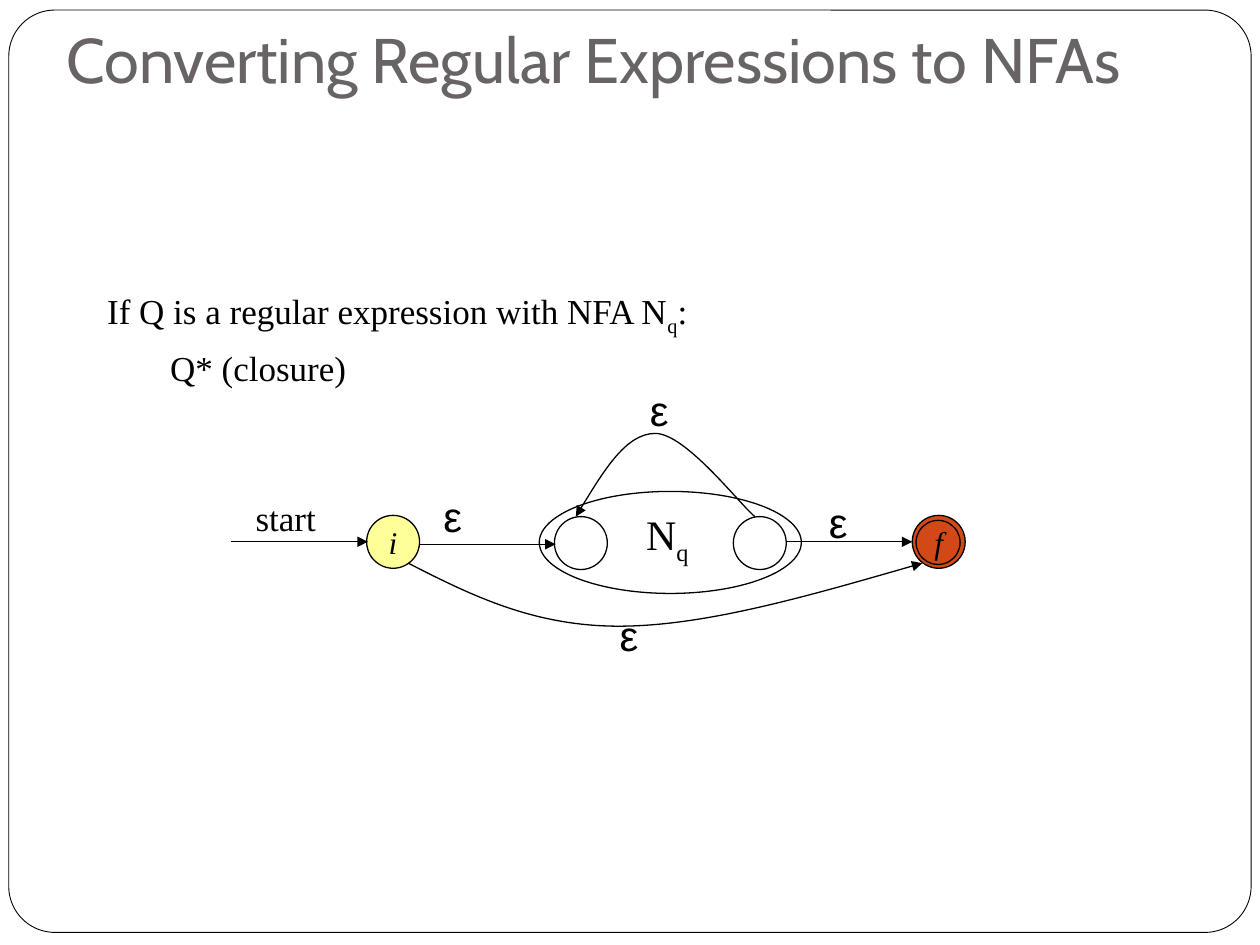
from lxml.etree import SubElement as Sub
from pptx import Presentation
from pptx.dml.color import RGBColor as Rgb
from pptx.enum.shapes import MSO_CONNECTOR as Link, MSO_SHAPE as Kind
from pptx.enum.text import MSO_ANCHOR as Anchor, MSO_AUTO_SIZE as Size, PP_ALIGN as Align
from pptx.oxml.ns import qn
from pptx.util import Inches, Pt

SERIF = {"name": "Times New Roman", "size": Pt(20)}
STATE = {"name": "Times New Roman", "size": Pt(18), "italic": True}
BIG = {"name": "Times New Roman", "size": Pt(24)}
GREEK = {"name": "Arial", "size": Pt(24)}
HEAD = {"name": "Cabin", "size": Pt(36)}
DIAM = 0.42


def color(text):
    return Rgb.from_string(text)


def box(*vals):
    return [Inches(val) for val in vals]


def place(shape, *vals):
    for name, val in zip(("left", "top", "width", "height"), box(*vals)):
        setattr(shape, name, val)


def write(para, text, style, ink="000000"):
    """Add runs to para; every second part between bars is a subscript."""
    for num, part in enumerate(text.split("|")):
        run = para.add_run()
        run.text = part
        for name, val in style.items():
            setattr(run.font, name, val)
        run.font.color.rgb = color(ink)
        if num % 2:
            run.font._element.set("baseline", "-25000")


def stroke(shape, width=0.75):
    shape.line.color.rgb = color("000000")
    shape.line.width = Pt(width)


def draw(slide, kind, area, fill=None, width=0.75):
    shape = slide.shapes.add_shape(kind, *box(*area))
    shape.shadow.inherit = False
    stroke(shape, width)
    if fill:
        shape.fill.solid()
        shape.fill.fore_color.rgb = color(fill)
    else:
        shape.fill.background()
    return shape


def state(slide, left, top, name="", fill=None):
    shape = draw(slide, Kind.OVAL, (left, top, DIAM, DIAM), fill)
    if name:
        frame = shape.text_frame
        frame.word_wrap = False
        frame.vertical_anchor = Anchor.MIDDLE
        para = frame.paragraphs[0]
        para.alignment = Align.CENTER
        write(para, name, STATE)


def label(slide, text, area, style=GREEK):
    frame = slide.shapes.add_textbox(*box(*area)).text_frame
    frame.word_wrap = False
    frame.auto_size = Size.SHAPE_TO_FIT_TEXT
    write(frame.paragraphs[0], text, style)


def tip(shape, end="tailEnd"):
    Sub(shape.line._get_or_add_ln(), qn("a:" + end), type="triangle")


def arrow(slide, left, right, top):
    line = slide.shapes.add_connector(Link.STRAIGHT, *box(left, top, right, top))
    stroke(line)
    tip(line)
    Sub(line._element.spPr, qn("a:effectLst"))


def curve(slide, points, end):
    """Draw Bezier arcs: a start, then two controls and an end for each arc."""
    pts = [box(*point) for point in points]
    form = slide.shapes.build_freeform(*pts[0])
    form.add_line_segments(pts[1:], close=False)
    shape = form.convert_to_shape()
    steps = list(shape._element.iter(qn("a:lnTo")))
    for num in range(0, len(steps), 3):
        first, *rest = steps[num:num + 3]
        first.tag = qn("a:cubicBezTo")
        for step in rest:
            first.append(step[0])
            step.getparent().remove(step)
    shape.shadow.inherit = False
    shape.fill.background()
    stroke(shape)
    tip(shape, end)


def title(slide):
    shape = slide.shapes.title
    place(shape, 0.43, 0.25, 8.94, 0.61)
    frame = shape.text_frame
    frame.auto_size = Size.NONE
    frame.vertical_anchor = Anchor.BOTTOM
    frame.margin_bottom = Inches(0.1)
    para = frame.paragraphs[0]
    para.alignment = Align.LEFT
    write(para, "Converting Regular Expressions to NFAs", HEAD, "696464")


def body(slide):
    shape = slide.placeholders[1]
    place(shape, 0.75, 2.25, 8.5, 4.5)
    frame = shape.text_frame
    frame.auto_size = Size.NONE
    rows = [("If Q is a regular expression with NFA N|q|:", 0.67, -0.67, 0),
            ("Q* (closure)", 1.08, -0.58, 5)]
    for level, (text, left, dent, gap) in enumerate(rows):
        para = frame.add_paragraph() if level else frame.paragraphs[0]
        para.level = level
        prop = para._p.get_or_add_pPr()
        prop.set("marL", str(Inches(left)))
        prop.set("indent", str(Inches(dent)))
        Sub(prop, qn("a:buNone"))
        para.space_before = Pt(gap)
        write(para, text, SERIF)


def graph(slide):
    arrow(slide, 6.24, 7.24, 4.3)
    curve(slide, [(4.57, 4.1), (4.77, 3.77), (4.97, 3.44), (5.2, 3.44),
                  (5.44, 3.44), (5.86, 3.99), (5.99, 4.1)], "headEnd")
    draw(slide, Kind.OVAL, (4.28, 3.9, 2.08, 0.81))
    label(slide, "N|q", (5.03, 3.99, 0.55, 0.5), BIG)
    for left in (5.82, 4.4):
        state(slide, left, 4.1)
    state(slide, 7.24, 4.09, "f", "D34817")
    draw(slide, Kind.OVAL, (7.27, 4.13, 0.35, 0.35))
    arrow(slide, 3.32, 4.41, 4.32)
    state(slide, 2.91, 4.09, "i", "FFFF99")
    arrow(slide, 1.83, 2.92, 4.3)
    label(slide, "start", (1.93, 3.89, 0.68, 0.43), SERIF)
    curve(slide, [(3.24, 4.47), (3.73, 4.72), (4.23, 4.97), (4.91, 4.97),
                  (5.59, 4.97), (6.45, 4.72), (7.32, 4.47)], "tailEnd")
    for left, top in ((5.06, 3), (3.42, 3.84), (6.48, 3.89), (4.82, 4.79)):
        label(slide, "ε", (left, top, 0.35, 0.5))


def main():
    deck = Presentation()
    deck.slide_width, deck.slide_height = box(10, 7.5)
    slide = deck.slides.add_slide(deck.slide_layouts[1])
    edge = draw(slide, Kind.ROUNDED_RECTANGLE, (0.07, 0.08, 9.86, 7.32), "FFFFFF", 0.5)
    edge.adjustments[0] = 0.05
    slide.shapes._spTree.insert(2, edge._element)
    title(slide)
    body(slide)
    graph(slide)
    deck.save("out.pptx")


if __name__ == "__main__":
    main()
